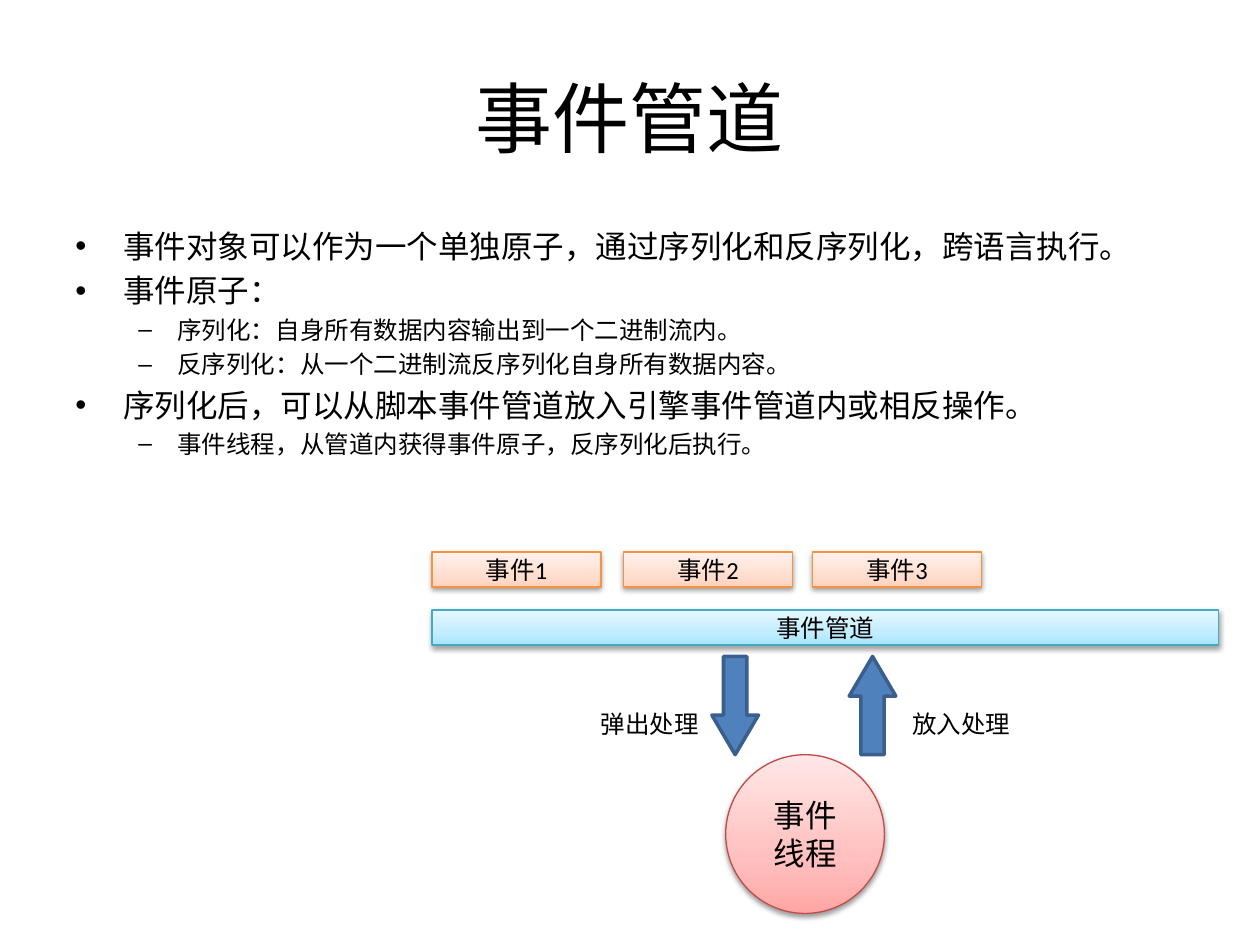
import pptx
import pptx.util
import pptx.dml.color
import pptx.enum.shapes
import pptx.enum.text
import pptx.oxml.ns
from lxml import etree

Inches, Pt = pptx.util.Inches, pptx.util.Pt
RGB = pptx.dml.color.RGBColor
KIND = pptx.enum.shapes.MSO_SHAPE
ALIGN = pptx.enum.text.PP_ALIGN
ANCHOR = pptx.enum.text.MSO_ANCHOR
qn = pptx.oxml.ns.qn

BLACK = RGB(0x00, 0x00, 0x00)
BLUE, NAVY = RGB(0x4F, 0x81, 0xBD), RGB(0x3A, 0x5F, 0x8C)
TEAL = RGB(0x46, 0xAA, 0xC5)
ORANGE = RGB(0xF6, 0x92, 0x40)
RED = RGB(0xBF, 0x4C, 0x48)
AQUA = [RGB(0xA7, 0xE6, 0xFF), RGB(0xC1, 0xED, 0xFF), RGB(0xE7, 0xF8, 0xFF)]
PEACH = [RGB(0xFF, 0xD2, 0xBD), RGB(0xFF, 0xDE, 0xD0), RGB(0xFF, 0xF2, 0xED)]
PINK = [RGB(0xFF, 0xA6, 0xA5), RGB(0xFF, 0xC0, 0xBF), RGB(0xFF, 0xE7, 0xE7)]
STOPS = [0, 35, 100]

TITLE = "事件管道"
POINTS = [
    (0, "事件对象可以作为一个单独原子，通过序列化和反序列化，跨语言执行。"),
    (0, "事件原子："),
    (1, "序列化：自身所有数据内容输出到一个二进制流内。"),
    (1, "反序列化：从一个二进制流反序列化自身所有数据内容。"),
    (0, "序列化后，可以从脚本事件管道放入引擎事件管道内或相反操作。"),
    (1, "事件线程，从管道内获得事件原子，反序列化后执行。"),
]
LEVELS = [
    dict(size=18, mark="•", left=0.38, hang=0.38, gap=4),
    dict(size=14, mark="–", left=0.81, hang=0.31, gap=3),
]
EVENTS = [("事件1", 3.43), ("事件2", 4.95), ("事件3", 6.45)]
BOXES = [("事件管道", KIND.RECTANGLE, (3.43, 4.84, 6.24, 0.28), AQUA, TEAL, 14)]
BOXES += [(name, KIND.RECTANGLE, (x, 4.38, 1.34, 0.28), PEACH, ORANGE, 14)
          for name, x in EVENTS]
BOXES += [("事件线程", KIND.OVAL, (5.76, 5.99, 1.26, 1.26), PINK, RED, 18)]
ARROWS = [(KIND.DOWN_ARROW, 5.65), (KIND.UP_ARROW, 6.74)]
LABELS = [("弹出处理", 4.67), ("放入处理", 7.14)]


def node(parent, tag, **attrs):
    return etree.SubElement(parent, qn(tag), {k: str(v) for k, v in attrs.items()})


def write(para, text, size=14, align=ALIGN.LEFT, mark=None, left=0, hang=0, gap=0):
    para.alignment = align
    para.space_before = Pt(gap)
    run = para.add_run()
    run.text = text
    run.font.name = "Calibri"
    run.font.size = Pt(size)
    run.font.color.rgb = BLACK
    if mark:
        props = para._p.get_or_add_pPr()
        props.set("marL", str(Inches(left)))
        props.set("indent", str(-Inches(hang)))
        node(props, "a:buFont", typeface="Arial")
        node(props, "a:buChar", char=mark)


def add_text(slide, at, wrap=True, anchor=ANCHOR.TOP):
    frame = slide.shapes.add_textbox(*map(Inches, at)).text_frame
    frame.word_wrap = wrap
    frame.vertical_anchor = anchor
    return frame


def add_shape(slide, kind, at, edge, width):
    shape = slide.shapes.add_shape(kind, *map(Inches, at))
    shape.shadow.inherit = False
    shape.line.color.rgb = edge
    shape.line.width = Pt(width)
    return shape


def shade(shape, tones):
    shape.fill.gradient()
    shape.fill.gradient_angle = 90
    props = shape._element.spPr
    stops = props.find(".//" + qn("a:gsLst"))
    for old in list(stops):
        stops.remove(old)
    for pos, tone in zip(STOPS, tones):
        node(node(stops, "a:gs", pos=pos * 1000), "a:srgbClr", val=tone)
    glow = node(props.find(qn("a:effectLst")), "a:outerShdw", blurRad=Pt(3.1),
                dist=Pt(1.6), dir=5400000, rotWithShape=0)
    node(node(glow, "a:srgbClr", val=BLACK), "a:alpha", val=38000)


def main():
    deck = pptx.Presentation()
    deck.slide_width, deck.slide_height = Inches(10), Inches(7.5)
    slide = deck.slides.add_slide(deck.slide_layouts[6])

    head = add_text(slide, (0.5, 0.3, 9, 1.25), anchor=ANCHOR.MIDDLE)
    write(head.paragraphs[0], TITLE, size=44, align=ALIGN.CENTER)

    body = add_text(slide, (0.5, 1.75, 9, 4.95))
    for i, (level, text) in enumerate(POINTS):
        para = body.add_paragraph() if i else body.paragraphs[0]
        para.level = level
        write(para, text, **LEVELS[level])

    for text, kind, at, tones, edge, size in BOXES:
        box = add_shape(slide, kind, at, edge, 0.75)
        shade(box, tones)
        box.text_frame.word_wrap = True
        box.text_frame.vertical_anchor = ANCHOR.MIDDLE
        write(box.text_frame.paragraphs[0], text, size=size, align=ALIGN.CENTER)

    for kind, x in ARROWS:
        arrow = add_shape(slide, kind, (x, 5.21, 0.37, 0.78), NAVY, 2)
        arrow.fill.solid()
        arrow.fill.fore_color.rgb = BLUE
        arrow.adjustments[0] = 0.5
        arrow.adjustments[1] = 0.85

    for text, x in LABELS:
        label = add_text(slide, (x, 5.58, 0.99, 0.34), wrap=False)
        label.auto_size = pptx.enum.text.MSO_AUTO_SIZE.SHAPE_TO_FIT_TEXT
        write(label.paragraphs[0], text)

    deck.save("out.pptx")


if __name__ == "__main__":
    main()
